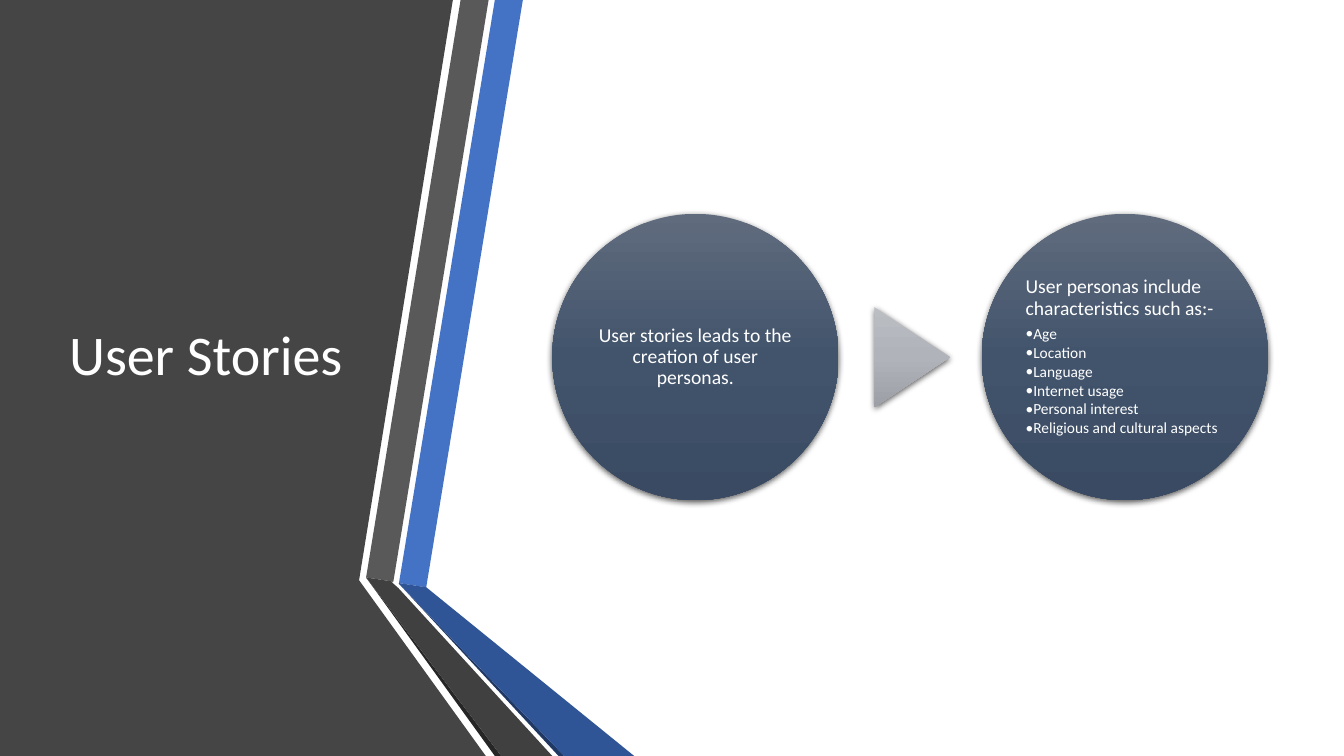
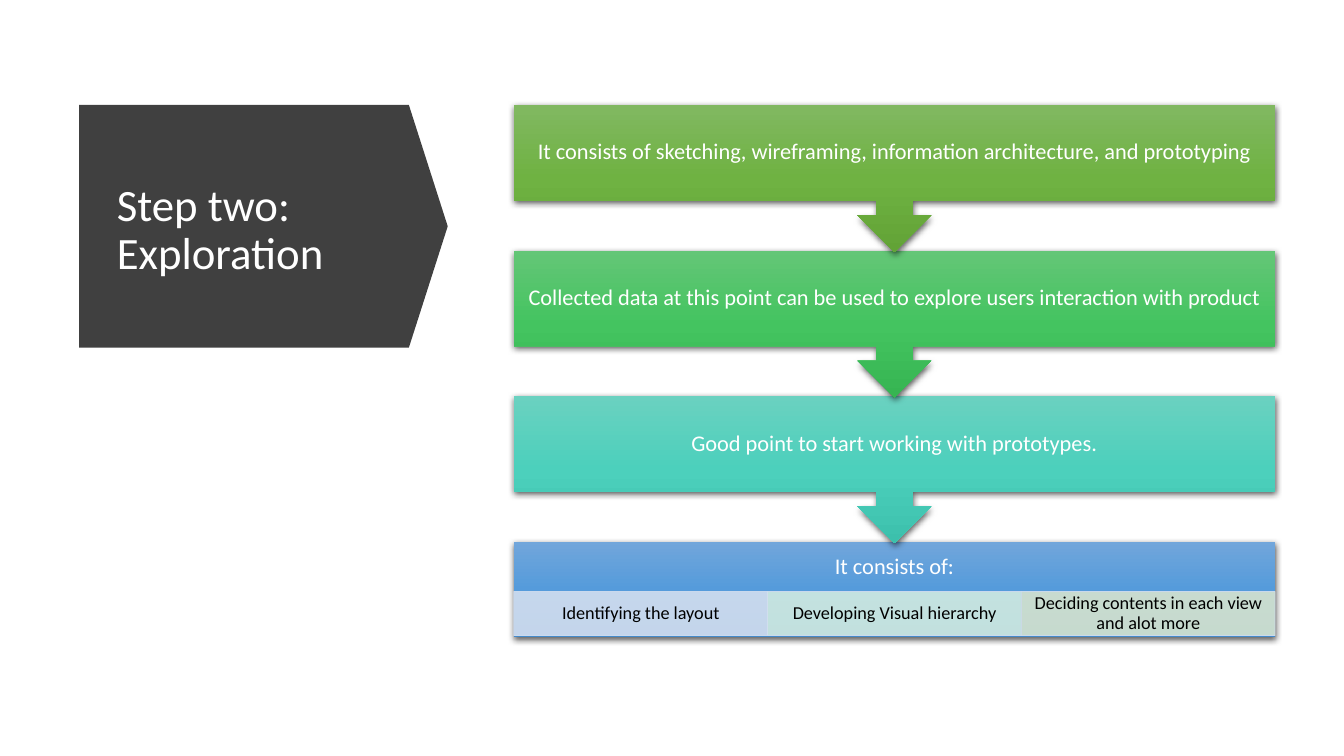
from copy import deepcopy
from dataclasses import dataclass

from lxml.etree import SubElement
from pptx import Presentation
from pptx.dml.color import ColorFormat, RGBColor
from pptx.enum.shapes import MSO_SHAPE
from pptx.enum.text import MSO_ANCHOR, MSO_AUTO_SIZE, PP_ALIGN
from pptx.oxml.ns import qn
from pptx.presentation import Presentation as Deck
from pptx.shapes.autoshape import Shape
from pptx.slide import Slide
from pptx.text.text import TextFrame
from pptx.util import Pt

FONT = "Calibri"
WHITE = "FFFFFF"
BLACK = "000000"
DARK = "404040"
NAVY = ("606B7D", "42546C", "394A62")
GREY = ("BABDC2", "B0B3BA", "9C9FA6")
BLUE = ("71A6DB", "559BDB", "448ACA")
EDGE = "D2DEEF"


@dataclass(frozen=True)
class Box:
    """A place on the slide, in points."""
    left: float
    top: float
    width: float
    height: float

    def frame(self) -> tuple[Pt, Pt, Pt, Pt]:
        """Give the four lengths in the order shapes take them."""
        return Pt(self.left), Pt(self.top), Pt(self.width), Pt(self.height)


@dataclass(frozen=True)
class Band:
    """One filled outline of the folded ribbon."""
    color: str
    points: tuple[tuple[float, float], ...]


@dataclass(frozen=True)
class Line:
    """One paragraph of text."""
    text: str
    size: float
    color: str = WHITE
    after: float = 0
    mark: bool = False


@dataclass(frozen=True)
class Step:
    """One callout of the flow."""
    text: str
    stops: tuple[str, ...]


@dataclass(frozen=True)
class Cell:
    """One box under the last step."""
    text: str
    color: str


BANDS = (
    Band("454545", ((0, 0), (323.5, 0), (256.5, 414.5), (347, 540), (0, 540))),
    Band("4472C4", ((285, 416.5), (304.5, 419.5), (373.5, 0), (353.5, 0))),
    Band("595959", ((349, 0), (329, 0), (261.5, 412.5), (281, 415.5))),
    Band("262626", ((261.5, 412.5), (353.5, 540), (358, 540))),
    Band("203864", ((285, 417), (399, 540), (403, 540))),
    Band("2F5597", ((285, 417), (403, 540), (453, 540), (304.5, 419.5),
                    (285, 416.5))),
    Band(DARK, ((394.5, 540), (284.5, 420), (280, 416), (281, 415.5),
                (261.5, 412.5), (358, 540))),
)
TRAITS = ("Age", "Location", "Language", "Internet usage",
          "Personal interest", "Religious and cultural aspects")
STEPS = (
    Step("It consists of sketching, wireframing, information architecture, "
         "and prototyping", ("81B861", "6FB242", "62A336")),
    Step("Collected data at this point can be used to explore users "
         "interaction with product", ("64C677", "44C460", "36B552")),
    Step("Good point to start working with prototypes.",
         ("6AD1C0", "4CD0BC", "3CC0AC")),
)
CELLS = (
    Cell("Identifying the layout", "D2DEEF"),
    Cell("Developing Visual hierarchy", "D0EAE1"),
    Cell("Deciding contents in each view and alot more", "D5E3CF"),
)


def tint(target: ColorFormat, code: str) -> None:
    """Set a colour from its hex string."""
    target.rgb = RGBColor.from_string(code)


def paint(shape: Shape, *stops: str) -> None:
    """Fill with one colour, or with an even fall of three, and no line."""
    shape.shadow.inherit = False
    shape.line.fill.background()
    if len(stops) == 1:
        shape.fill.solid()
        tint(shape.fill.fore_color, stops[0])
        return
    shape.fill.gradient()
    shape.fill.gradient_angle = 270
    grad = shape.element.spPr.find(qn("a:gradFill"))
    grad.set("rotWithShape", "0")
    items = grad.find(qn("a:gsLst"))
    items.append(deepcopy(items[0]))
    for rank, (stop, code) in enumerate(zip(shape.fill.gradient_stops, stops)):
        stop.position = rank / (len(stops) - 1)
        tint(stop.color, code)


def shade(shape: Shape) -> None:
    """Drop a soft shadow straight down."""
    effects = shape.element.spPr.find(qn("a:effectLst"))
    drop = SubElement(effects, qn("a:outerShdw"), blurRad=str(Pt(4.5)),
                      dist=str(Pt(1.5)), dir="5400000", algn="ctr",
                      rotWithShape="0")
    color = SubElement(drop, qn("a:srgbClr"), val=BLACK)
    SubElement(color, qn("a:alpha"), val="63000")


def fade(shape: Shape, share: int) -> None:
    """Make the fill and line partly clear."""
    for color in shape.element.spPr.iter(qn("a:srgbClr")):
        SubElement(color, qn("a:alpha"), val=str(share * 1000))


def write(frame: TextFrame, lines: list[Line], align: PP_ALIGN,
          pad: tuple[float, float, float, float]) -> None:
    """Write paragraphs, with left, top, right and bottom insets."""
    frame.word_wrap = True
    frame.auto_size = MSO_AUTO_SIZE.NONE
    frame.vertical_anchor = MSO_ANCHOR.MIDDLE
    (frame.margin_left, frame.margin_top,
     frame.margin_right, frame.margin_bottom) = map(Pt, pad)
    for rank, line in enumerate(lines):
        para = frame.add_paragraph() if rank else frame.paragraphs[0]
        para.alignment = align
        para.line_spacing = 0.9
        para.space_before = Pt(0)
        para.space_after = Pt(line.after)
        if line.mark:
            para.level = 1
            props = para._p.get_or_add_pPr()
            props.set("marL", str(Pt(4.5)))
            props.set("indent", str(Pt(-4.5)))
            SubElement(props, qn("a:buFont"), typeface=FONT)
            SubElement(props, qn("a:buChar"), char="•")
        run = para.add_run()
        run.text = line.text
        run.font.name = FONT
        run.font.size = Pt(line.size)
        tint(run.font.color, line.color)


def form(slide: Slide, kind: MSO_SHAPE, box: Box, *stops: str) -> Shape:
    """Add a filled preset shape."""
    shape = slide.shapes.add_shape(kind, *box.frame())
    paint(shape, *stops)
    return shape


def head(slide: Slide, text: str, size: float, box: Box) -> None:
    """Place the title in front of all that is drawn so far."""
    title = slide.shapes.title
    title.left, title.top, title.width, title.height = box.frame()
    write(title.text_frame, [Line(text, size)], PP_ALIGN.LEFT,
          (7.2, 3.6, 7.2, 3.6))
    slide.shapes.element.append(title.element)


def ribbon(slide: Slide) -> None:
    """Draw the dark panel and its folded ribbon."""
    for band in BANDS:
        first, *rest = [(Pt(x), Pt(y)) for x, y in band.points]
        pen = slide.shapes.build_freeform(*first)
        pen.add_line_segments(rest)
        paint(pen.convert_to_shape(), band.color)


def disc(slide: Slide, left: float, lines: list[Line],
         align: PP_ALIGN) -> None:
    """Draw one shaded circle with its text."""
    shape = form(slide, MSO_SHAPE.OVAL, Box(left, 152.8, 204.5, 204.5), *NAVY)
    shade(shape)
    write(shape.text_frame, lines, align, (1.4,) * 4)


def stories(deck: Deck) -> None:
    """Build the slide on user stories."""
    slide = deck.slides.add_slide(deck.slide_layouts[5])
    ribbon(slide)
    head(slide, "User Stories", 40, Box(42.2, 54, 219, 402))
    disc(slide, 394.5,
         [Line("User stories leads to the creation of user personas.", 14)],
         PP_ALIGN.CENTER)
    arrow = form(slide, MSO_SHAPE.ISOSCELES_TRIANGLE,
                 Box(615.8, 228.2, 71.5, 54), *GREY)
    arrow.rotation = 90
    shade(arrow)
    intro = Line("User personas include characteristics such as:-", 14, after=5)
    disc(slide, 701.3,
         [intro, *(Line(trait, 11, after=1.6, mark=True) for trait in TRAITS)],
         PP_ALIGN.LEFT)


def explore(deck: Deck) -> None:
    """Build the slide on the second step."""
    slide = deck.slides.add_slide(deck.slide_layouts[5])
    flag = form(slide, MSO_SHAPE.PENTAGON, Box(56.5, 75, 263.3, 173.3), DARK)
    flag.adjustments[0] = 0.16
    head(slide, "Step two: Exploration", 32, Box(76.2, 94.8, 210, 140.5))

    left, top, width, pitch, pad = 367, 75, 543.8, 104, 8.6
    last = top + pitch * len(STEPS)
    base = form(slide, MSO_SHAPE.RECTANGLE, Box(left, last, width, 68), *BLUE)
    shade(base)
    write(base.text_frame, [Line("It consists of:", 16)], PP_ALIGN.CENTER,
          (pad, pad, pad, pad + 32))

    part = width / len(CELLS)
    for rank, cell in enumerate(CELLS):
        shape = form(slide, MSO_SHAPE.RECTANGLE,
                     Box(left + rank * part, last + 35.5, part, 31.5),
                     cell.color)
        shape.line.width = Pt(0.5)
        shape.line.fill.solid()
        tint(shape.line.color, EDGE)
        fade(shape, 90)
        write(shape.text_frame, [Line(cell.text, 13, BLACK)],
              PP_ALIGN.CENTER, (7, 1.4, 7, 1.4))

    for rank, step in reversed(list(enumerate(STEPS))):
        shape = form(slide, MSO_SHAPE.DOWN_ARROW_CALLOUT,
                     Box(left, top + rank * pitch, width, 105), *step.stops)
        shade(shape)
        write(shape.text_frame, [Line(step.text, 16)], PP_ALIGN.CENTER,
              (pad,) * 4)


def main() -> None:
    """Build and save the deck."""
    deck = Presentation()
    deck.slide_width, deck.slide_height = Pt(960), Pt(540)
    stories(deck)
    explore(deck)
    deck.save("out.pptx")


if __name__ == "__main__":
    main()
